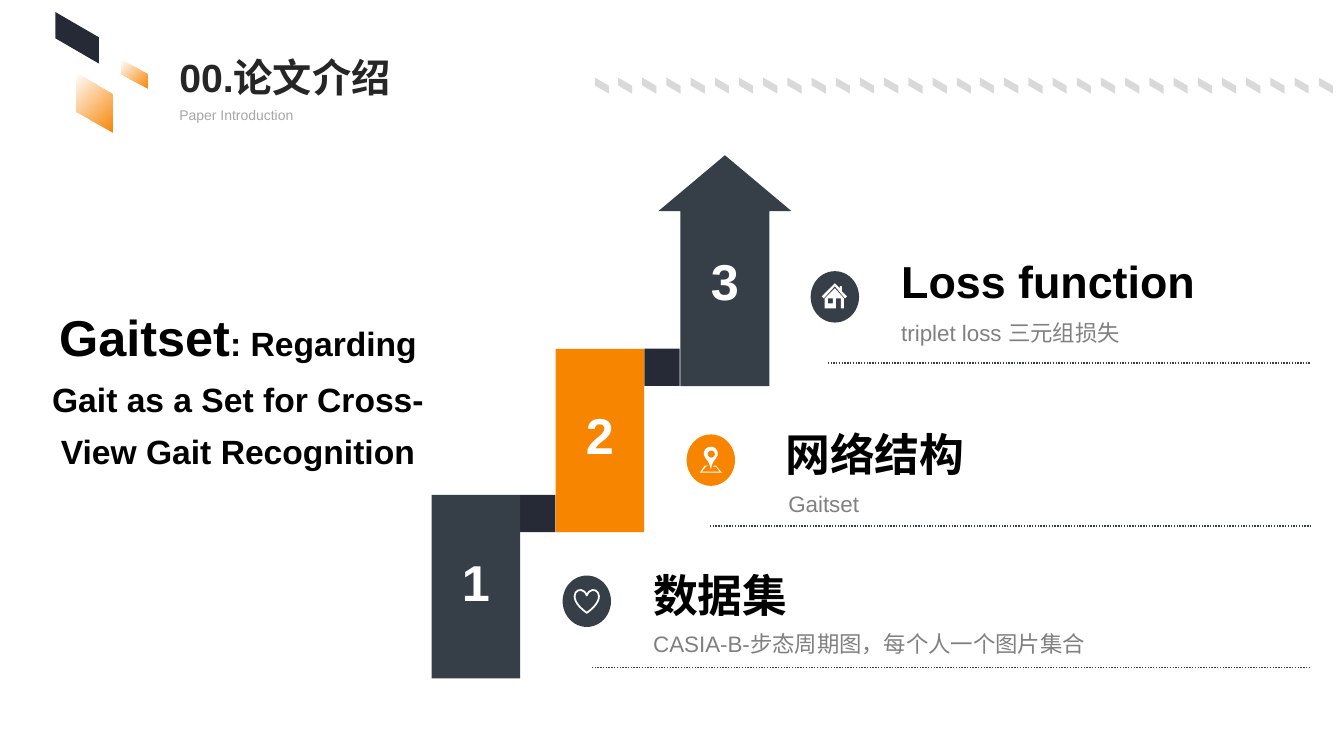
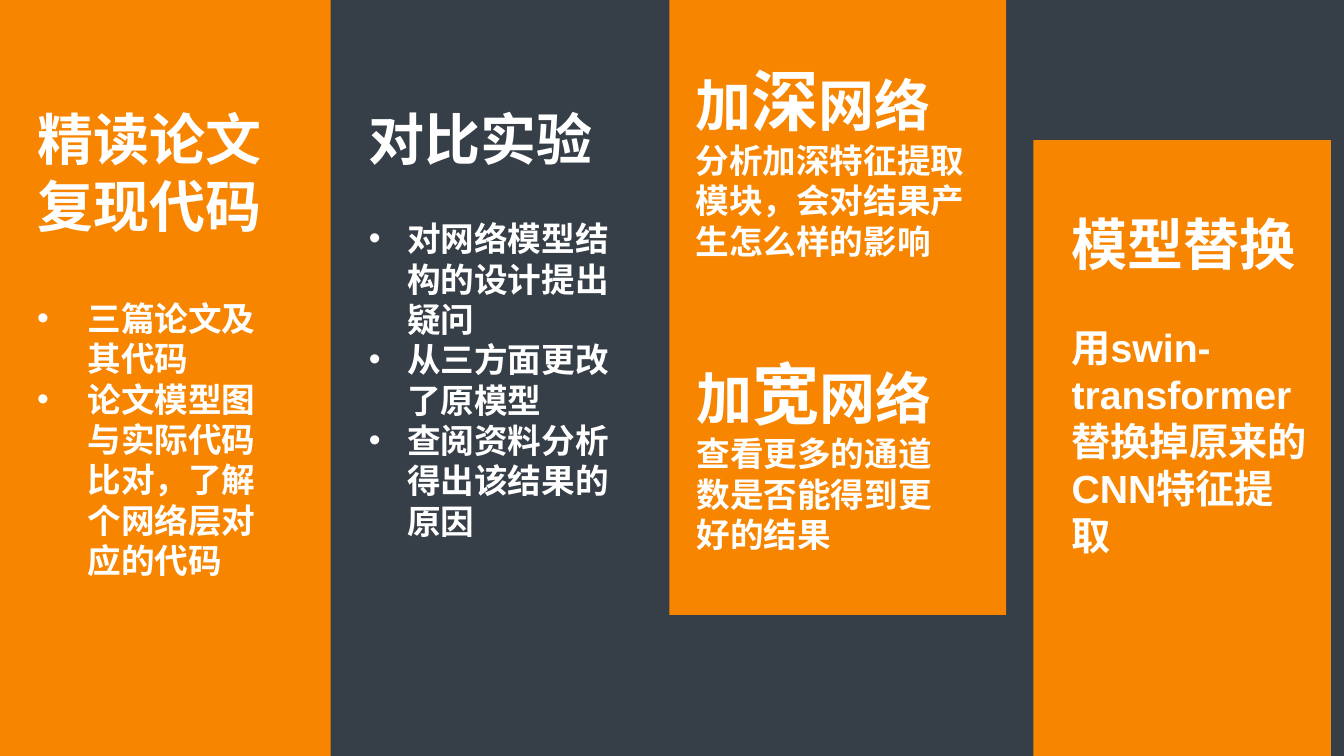
from lxml.etree import SubElement as Sub
from pptx import Presentation
from pptx.dml.color import RGBColor
from pptx.enum.dml import MSO_LINE as Dash
from pptx.enum.shapes import MSO_CONNECTOR as Link, MSO_SHAPE as Kind
from pptx.enum.text import MSO_ANCHOR as Anchor, PP_ALIGN as Align
from pptx.oxml.ns import qn
from pptx.util import Emu, Pt

PX = 9144
SLATE, ORANGE, NAVY = "363E47", "F78500", "252A36"
WHITE, BLACK, INK = "FFFFFF", "000000", "262626"
GRAY, PALE, MIST = "808080", "A6A6A6", "D9D9D9"
FONT = "Arial"


def px(*nums):
    return [Emu(n * PX) for n in nums]


def rgb(code):
    return RGBColor.from_string(code)


def write(frame, text, size=24, color=WHITE, bold=False, align=Align.LEFT,
          lead=None, gap=0, hang=0):
    fresh = not frame.paragraphs[0].runs
    para = frame.paragraphs[0] if fresh else frame.add_paragraph()
    if hang:
        props = para._p.get_or_add_pPr()
        props.set("marL", str(hang * PX))
        props.set("indent", str(-hang * PX))
        Sub(props, qn("a:buFont"), typeface=FONT)
        Sub(props, qn("a:buChar"), char="•")
    para.alignment = align
    if lead:
        para.line_spacing = lead
    if gap:
        para.space_before = Pt(gap)
    parts = [(text, size)] if isinstance(text, str) else text
    for words, points in parts:
        run = para.add_run()
        run.text = words
        font = run.font
        font.name, font.size, font.bold = FONT, Pt(points), bold
        font.color.rgb = rgb(color)


class Deck:
    def __init__(self):
        self.prs = Presentation()
        self.prs.slide_width, self.prs.slide_height = px(1333, 750)

    def page(self):
        self.slide = self.prs.slides.add_slide(self.prs.slide_layouts[6])
        self.shapes = self.slide.shapes

    def paint(self, shape, fill, line=None):
        shape.shadow.inherit = False
        if fill:
            shape.fill.solid()
            shape.fill.fore_color.rgb = rgb(fill)
        else:
            shape.fill.background()
        if line:
            shape.line.color.rgb = rgb(line)
            shape.line.width = Pt(1.25)
        else:
            shape.line.fill.background()
        return shape

    def shape(self, kind, box, fill, line=None, adj=(), turn=0):
        shape = self.shapes.add_shape(kind, *px(*box))
        for i, value in enumerate(adj):
            shape.adjustments[i] = value
        shape.rotation = turn
        return self.paint(shape, fill, line)

    def rect(self, box, fill):
        return self.shape(Kind.RECTANGLE, box, fill)

    def slant(self, box, fill):
        return self.shape(Kind.PARALLELOGRAM, box, fill, adj=[0.58], turn=90)

    def poly(self, *rings, fill=WHITE):
        pen = self.shapes.build_freeform(*rings[0][0], scale=PX)
        for i, ring in enumerate(rings):
            if i:
                pen.move_to(*ring[0])
            pen.add_line_segments(ring[1:], close=True)
        return self.paint(pen.convert_to_shape(), fill)

    def fade(self, ring):
        shape = self.poly(ring)
        shape.fill.gradient()
        shape.fill.gradient_angle = 315
        for stop in shape.fill.gradient_stops:
            stop.color.rgb = rgb(ORANGE)
        clear = shape.element.xpath(".//a:gs/a:srgbClr")[0]
        Sub(clear, qn("a:alpha"), val="0")

    def rule(self, left, right, y):
        line = self.shapes.add_connector(
            Link.STRAIGHT, *px(left, y, right, y))
        line.line.color.rgb = rgb(SLATE)
        line.line.width = Pt(1)
        line.line.dash_style = Dash.ROUND_DOT
        Sub(line.element.spPr, qn("a:effectLst"))

    def box(self, box):
        frame = self.shapes.add_textbox(*px(*box)).text_frame
        frame.word_wrap = True
        return frame

    def label(self, box, text, **style):
        write(self.box(box), text, **style)

    def digit(self, shape, text, low=5, lead=None):
        frame = shape.text_frame
        frame.vertical_anchor = Anchor.MIDDLE
        frame.margin_bottom, = px(low)
        write(frame, text, size=36, bold=True, align=Align.CENTER, lead=lead)

    def head(self, title, sub):
        self.slant((51, 16, 51, 43), NAVY)
        self.fade([(76, 72), (112, 93), (112, 131), (76, 111)])
        self.fade([(121, 59), (146, 73), (146, 88), (121, 74)])
        self.label((168, 48, 335, 57), title, size=28, color=INK, bold=True)
        self.label((168, 97, 492, 30), sub, size=10, color=PALE, lead=1.25)
        for i in range(31):
            self.slant((589 + i * 718 // 30, 78, 16, 14), MIST)

    def heart(self):
        self.shape(Kind.HEART, (570, 585, 24, 23), None, WHITE)

    def pin(self):
        self.poly([(699, 462), (702, 462), (700, 463), (696, 468), (714, 468),
                   (710, 463), (707, 463), (708, 462), (710, 462), (716, 469),
                   (694, 469)])
        self.shape(Kind.TEAR, (698, 443, 14, 14), WHITE, adj=[1.6], turn=135)
        self.shape(Kind.OVAL, (702, 447, 7, 7), ORANGE)

    def house(self):
        self.poly([(815, 294), (828, 281), (833, 286), (833, 284), (835, 284),
                   (835, 289), (840, 294), (838, 296), (828, 284), (817, 296)])
        self.poly([(828, 286), (837, 296), (837, 306), (834, 306), (834, 296),
                   (829, 296), (829, 306), (818, 306), (818, 296)],
                  [(821, 296), (826, 296), (826, 301), (821, 301)])

    def step(self, i, fill, icon, y, title, sub, heads, subs):
        self.shape(Kind.OVAL, (558 + 123 * i, y - 91, 48, 51), fill)
        icon()
        self.rule(587 + 117 * i, 1300, y)
        self.label((*heads, 400, 64), title, size=32, color=BLACK, bold=True)
        self.label((*subs, 495, 42), sub, size=16, color=GRAY, lead=1.2)

    def steps(self):
        self.page()
        self.head("00.论文介绍", "Paper Introduction")
        for i, (y, fill) in enumerate([(491, SLATE), (346, ORANGE)]):
            left = 428 + 123 * i
            self.rect((left + 88, y, 35, 37), NAVY)
            bar = self.rect((left, y, 88, 182), fill)
            self.digit(bar, str(i + 1), lead=0.8)
        arrow = self.shape(Kind.UP_ARROW, (653, 154, 132, 229), SLATE,
                           adj=[0.67, 0.42])
        self.digit(arrow, "3", low=23)
        rows = [
            (SLATE, self.heart, 662, "数据集",
             "CASIA-B-步态周期图，每个人一个图片集合", (638, 558), (638, 615)),
            (ORANGE, self.pin, 522, "网络结构",
             "Gaitset", (769, 418), (772, 476)),
            (SLATE, self.house, 360, "Loss function",
             "triplet loss 三元组损失", (884, 247), (884, 306)),
        ]
        for i, row in enumerate(rows):
            self.step(i, *row)
        paper = [("Gaitset", 36),
                 (": Regarding Gait as a Set for Cross-View Gait Recognition",
                  24)]
        self.label((40, 281, 392, 188), paper, color=BLACK, bold=True,
                   align=Align.CENTER, lead=1.3)

    def card(self, box, heads, items, size=24, gap=0, hang=0):
        frame = self.box(box)
        for text in heads:
            write(frame, text, size=40, bold=True)
        for i, text in enumerate(items):
            write(frame, text, size=size, bold=True, hang=hang,
                  gap=0 if i else gap)

    def plans(self):
        self.page()
        self.rect((322, 0, 1011, 750), SLATE)
        for box in [(664, 0, 334, 610), (0, 0, 328, 750),
                    (1025, 139, 295, 611)]:
            self.rect(box, ORANGE)
        self.card((27, 99, 245, 488), ["精读论文", "复现代码"],
                  ["三篇论文及其代码",
                   "论文模型图与实际代码比对，了解个网络层对应的代码"],
                  gap=42, hang=50)
        self.card((356, 99, 280, 448), ["对比实验"],
                  ["对网络模型结构的设计提出疑问", "从三方面更改了原模型",
                   "查阅资料分析得出该结果的原因"], gap=33, hang=38)
        for box, word, note in [
                ((680, 54, 296, 212), "深",
                 "分析加深特征提取模块，会对结果产生怎么样的影响"),
                ((681, 345, 268, 212), "宽",
                 "查看更多的通道数是否能得到更好的结果")]:
            self.card(box, [[("加", 40), (word, 48), ("网络", 40)]], [note])
        self.card((1053, 203, 253, 360), ["模型替换"],
                  ["用swin-transformer替换掉原来的CNN特征提取"],
                  size=28, gap=33)


def main():
    deck = Deck()
    deck.steps()
    deck.plans()
    deck.prs.save("out.pptx")


if __name__ == "__main__":
    main()
